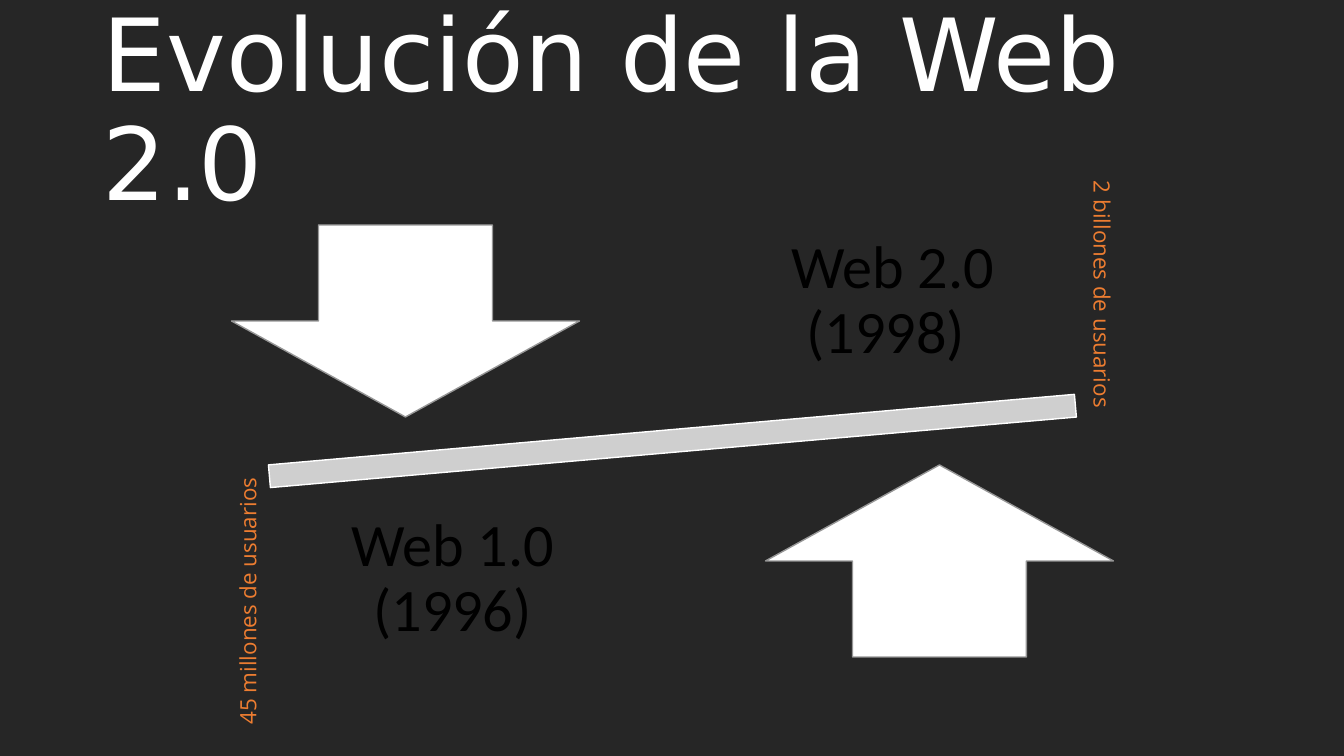
from collections import namedtuple

from pptx import Presentation
from pptx.dml.color import RGBColor
from pptx.enum.shapes import MSO_SHAPE
from pptx.enum.text import MSO_ANCHOR, MSO_AUTO_SIZE, PP_ALIGN
from pptx.util import Emu, Pt

BACKGROUND = RGBColor(0x26, 0x26, 0x26)
WHITE = RGBColor(0xFF, 0xFF, 0xFF)
BLACK = RGBColor(0x00, 0x00, 0x00)
BAR_GRAY = RGBColor(0xCF, 0xCF, 0xCF)
EDGE_GRAY = RGBColor(0x96, 0x96, 0x96)
ORANGE = RGBColor(0xED, 0x7D, 0x31)

PX_PER_INCH = 100.8
Box = namedtuple("Box", "left top width height")


def px(length):
    """Turn a length in px into EMU."""
    return Emu(round(length * 914400 / PX_PER_INCH))


def centered(box, across, down, width, height):
    """Return a box whose centre is offset from the centre of another."""
    return Box(box.left + (box.width - width) / 2 + across,
               box.top + (box.height - height) / 2 + down, width, height)


def add_text(page, box, text, font, size, color, spacing=None):
    """Add a text box with one styled paragraph and return its frame."""
    frame = page.shapes.add_textbox(*map(px, box)).text_frame
    frame.word_wrap = True
    frame.vertical_anchor = MSO_ANCHOR.MIDDLE
    frame.text = text
    para = frame.paragraphs[0]
    para.line_spacing = spacing
    span = para.runs[0].font
    span.name, span.size, span.color.rgb = font, Pt(size), color
    return frame


def add_figure(page, box, kind, fill, line):
    """Add a flat preset shape with a thin outline."""
    shape = page.shapes.add_shape(kind, *map(px, box))
    shape.shadow.inherit = False
    shape.fill.solid()
    shape.fill.fore_color.rgb = fill
    shape.line.color.rgb = line
    shape.line.width = Pt(1)
    return shape


def add_era_label(page, box, text):
    """Add the name and year of a web era."""
    frame = add_text(page, box, text, "Calibri", 43, BLACK, 0.9)
    frame.paragraphs[0].alignment = PP_ALIGN.CENTER
    frame.margin_left = frame.margin_right = px(33)
    frame.margin_top = frame.margin_bottom = px(33)


def add_user_count(page, box, text, direction):
    """Add a user count that runs vertically."""
    frame = add_text(page, box, text, "Open Sans", 16, ORANGE)
    frame.vertical_anchor = MSO_ANCHOR.TOP
    frame.word_wrap = False
    frame.auto_size = MSO_AUTO_SIZE.SHAPE_TO_FIT_TEXT
    frame._txBody.bodyPr.set("vert", direction)


def add_balance(page, box):
    """Draw the tilted bar with an arrow and an era on either side."""
    bar = add_figure(page, centered(box, 0, 0, 1101, 97),
                     MSO_SHAPE.MATH_MINUS, BAR_GRAY, WHITE)
    bar.rotation = 355
    eras = [(-1, MSO_SHAPE.DOWN_ARROW, "Web 1.0 (1996)"),
            (1, MSO_SHAPE.UP_ARROW, "Web 2.0 (1998) ")]
    for side, arrow, label in eras:
        add_figure(page, centered(box, side * 267, side * 120, 348, 192),
                   arrow, WHITE, EDGE_GRAY)
        add_era_label(page, centered(box, side * 220, side * -139, 371, 202), label)
    add_user_count(page, centered(box, -420, 157, 47, 273),
                   "45 millones de usuarios", "vert270")
    add_user_count(page, centered(box, 425, -144, 47, 252),
                   "2 billones de usuarios", "vert")


def main():
    """Build the slide and save the deck."""
    deck = Presentation()
    deck.slide_width, deck.slide_height = px(1344), px(756)
    page = deck.slides.add_slide(deck.slide_layouts[6])
    page.background.fill.solid()
    page.background.fill.fore_color.rgb = BACKGROUND
    add_text(page, Box(93, 40, 1159, 146), "Evolución de la Web 2.0",
             "DejaVu Sans", 72, WHITE, 0.9)
    add_balance(page, Box(122, 201, 1101, 480))
    deck.save("out.pptx")


if __name__ == "__main__":
    main()
